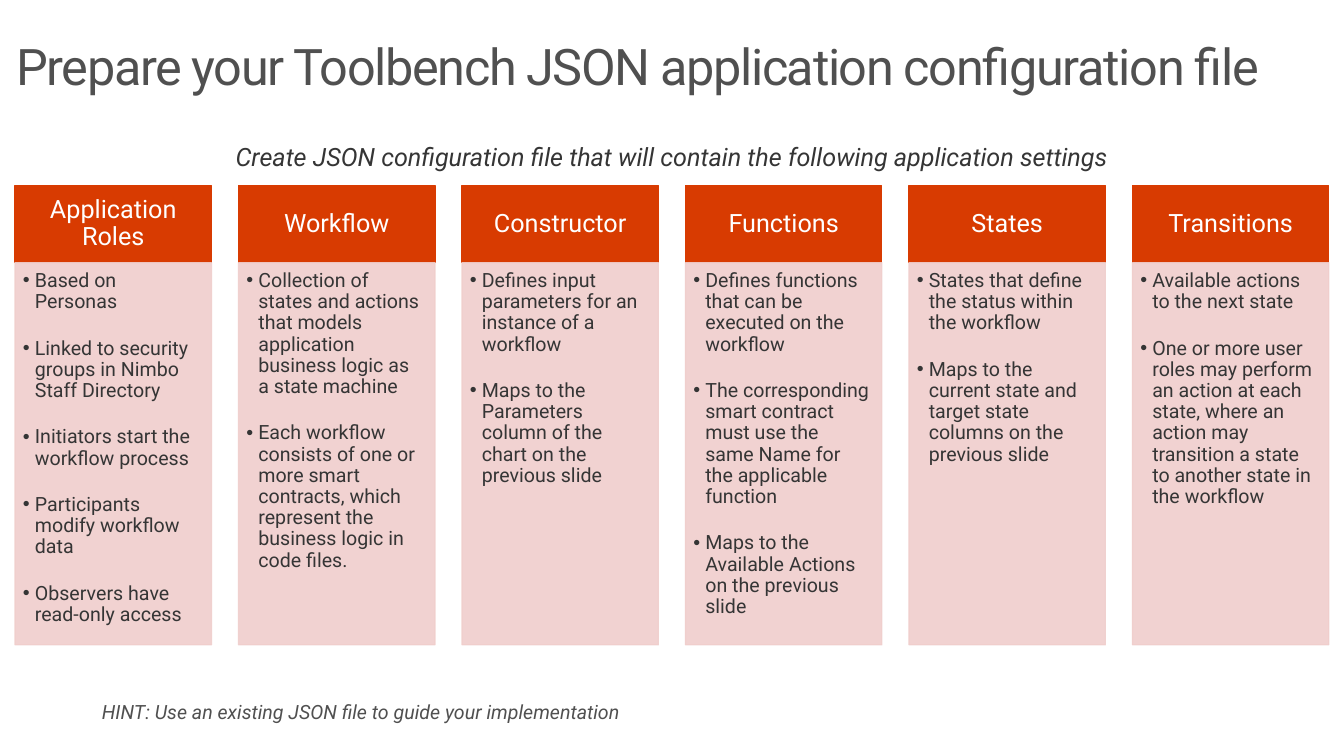
from pptx import Presentation
from pptx.dml.color import RGBColor
from pptx.enum.shapes import MSO_SHAPE
from pptx.enum.text import MSO_ANCHOR, MSO_AUTO_SIZE, PP_ALIGN
from pptx.oxml.ns import qn
from pptx.util import Cm, Pt
from lxml.etree import SubElement

COLORS = {
    "header": "D83B01",
    "panel": "F0CECC",
    "white": "FFFFFF",
    "dark": "353535",
    "gray": "505050",
}
SLIDE_WIDTH, SLIDE_HEIGHT = 33.87, 19.05
MARGIN, COLUMN_WIDTH = 0.38, 4.95
HEADER_TOP, HEADER_HEIGHT = 4.68, 1.94
PANEL_TOP, PANEL_HEIGHT = 6.62, 9.63

COLUMNS = [
    ("Application Roles", [
        "Based on Personas",
        "Linked to security groups in Nimbo Staff Directory",
        "Initiators start the workflow process",
        "Participants modify workflow data",
        "Observers have read-only access"]),
    ("Workflow", [
        "Collection of states and actions that models application business logic as a state machine",
        "Each workflow consists of one or more smart contracts, which represent the business logic in code files."]),
    ("Constructor", [
        "Defines input parameters for an instance of a workflow",
        "Maps to the Parameters column of the chart on the previous slide"]),
    ("Functions", [
        "Defines functions that can be executed on the workflow",
        "The corresponding smart contract must use the same Name for the applicable function",
        "Maps to the Available Actions on the previous slide"]),
    ("States", [
        "States that define the status within the workflow",
        "Maps to the current state and target state columns on the previous slide"]),
    ("Transitions", [
        "Available actions to the next state",
        "One or more user roles may perform an action at each state, "
        "where an action may transition a state to another state in the workflow"]),
]


def add_bullet(paragraph, indent=0.3):
    properties = paragraph._p.get_or_add_pPr()
    properties.set("marL", str(Cm(indent)))
    properties.set("indent", str(-Cm(indent)))
    SubElement(properties, qn("a:buFont")).set("typeface", "Arial")
    SubElement(properties, qn("a:buChar")).set("char", "•")


def write_text(frame, lines, *, font, size, color, insets, align=PP_ALIGN.LEFT,
               anchor=MSO_ANCHOR.TOP, italic=False, bullets=False, after=0, tracking=0):
    frame.word_wrap = True
    frame.auto_size = MSO_AUTO_SIZE.NONE
    frame.vertical_anchor = anchor
    (frame.margin_left, frame.margin_top,
     frame.margin_right, frame.margin_bottom) = [Cm(inset) for inset in insets]
    for index, line in enumerate(lines):
        paragraph = frame.add_paragraph() if index else frame.paragraphs[0]
        paragraph.alignment = align
        paragraph.line_spacing = 0.9
        paragraph.space_before = Pt(0)
        paragraph.space_after = Pt(after)
        if bullets:
            add_bullet(paragraph)
        run = paragraph.add_run()
        run.text = line
        run.font.name = font
        run.font.size = Pt(size)
        run.font.italic = italic
        run.font.color.rgb = RGBColor.from_string(COLORS[color])
        if tracking:
            run._r.get_or_add_rPr().set("spc", str(tracking * 100))


class SlideBuilder:
    def __init__(self, slide, font):
        self.slide = slide
        self.font = font

    def title(self, text, box, **style):
        shape = self.slide.shapes.title
        shape.left, shape.top, shape.width, shape.height = [Cm(value) for value in box]
        write_text(shape.text_frame, [text], font=self.font, **style)

    def note(self, text, box, **style):
        shape = self.slide.shapes.add_textbox(*[Cm(value) for value in box])
        write_text(shape.text_frame, [text], font=self.font, italic=True,
                   insets=(0.51, 0.41, 0.51, 0.41), **style)

    def panel(self, lines, box, fill, opacity=100, **style):
        shape = self.slide.shapes.add_shape(
            MSO_SHAPE.RECTANGLE, *[Cm(value) for value in box])
        shape.shadow.inherit = False
        shape.line.width = Pt(0.85)
        shape.line.fill.solid()
        shape.fill.solid()
        for paint in (shape.fill, shape.line.fill):
            paint.fore_color.rgb = RGBColor.from_string(COLORS[fill])
        if opacity < 100:
            for color in shape._element.spPr.iter(qn("a:srgbClr")):
                SubElement(color, qn("a:alpha")).set("val", str(opacity * 1000))
        write_text(shape.text_frame, lines, font=self.font, **style)

    def column(self, left, heading, items):
        self.panel([heading], (left, HEADER_TOP, COLUMN_WIDTH, HEADER_HEIGHT), "header",
                   size=18, color="white", align=PP_ALIGN.CENTER,
                   anchor=MSO_ANCHOR.MIDDLE, insets=(0.36, 0.2, 0.36, 0.2))
        self.panel(items, (left, PANEL_TOP, COLUMN_WIDTH, PANEL_HEIGHT), "panel",
                   opacity=90, size=14, color="dark", bullets=True, after=18,
                   insets=(0.2, 0.2, 0.28, 0.3))


def main():
    presentation = Presentation()
    presentation.slide_width = Cm(SLIDE_WIDTH)
    presentation.slide_height = Cm(SLIDE_HEIGHT)
    slide = presentation.slides.add_slide(presentation.slide_layouts[5])
    builder = SlideBuilder(slide, "Roboto")

    # Title
    builder.title("Prepare your Toolbench JSON application configuration file",
                  (0, 0.81, SLIDE_WIDTH, 2.49), size=36, color="gray",
                  insets=(0.41, 0.25, 0.41, 0.25), tracking=-1)

    # Six evenly spaced columns
    pitch = (SLIDE_WIDTH - 2 * MARGIN - COLUMN_WIDTH) / (len(COLUMNS) - 1)
    for index, (heading, items) in enumerate(COLUMNS):
        builder.column(MARGIN + index * pitch, heading, items)

    # Introduction and hint
    builder.note("Create JSON configuration file that will contain the following application settings",
                 (MARGIN, 3.23, SLIDE_WIDTH - 2 * MARGIN, 1.52),
                 size=18, color="dark", align=PP_ALIGN.CENTER)
    builder.note("HINT: Use an existing JSON file to guide your implementation",
                 (2.06, 17.3, 28.47, 1.37), size=14, color="gray")

    presentation.save("out.pptx")


if __name__ == "__main__":
    main()
